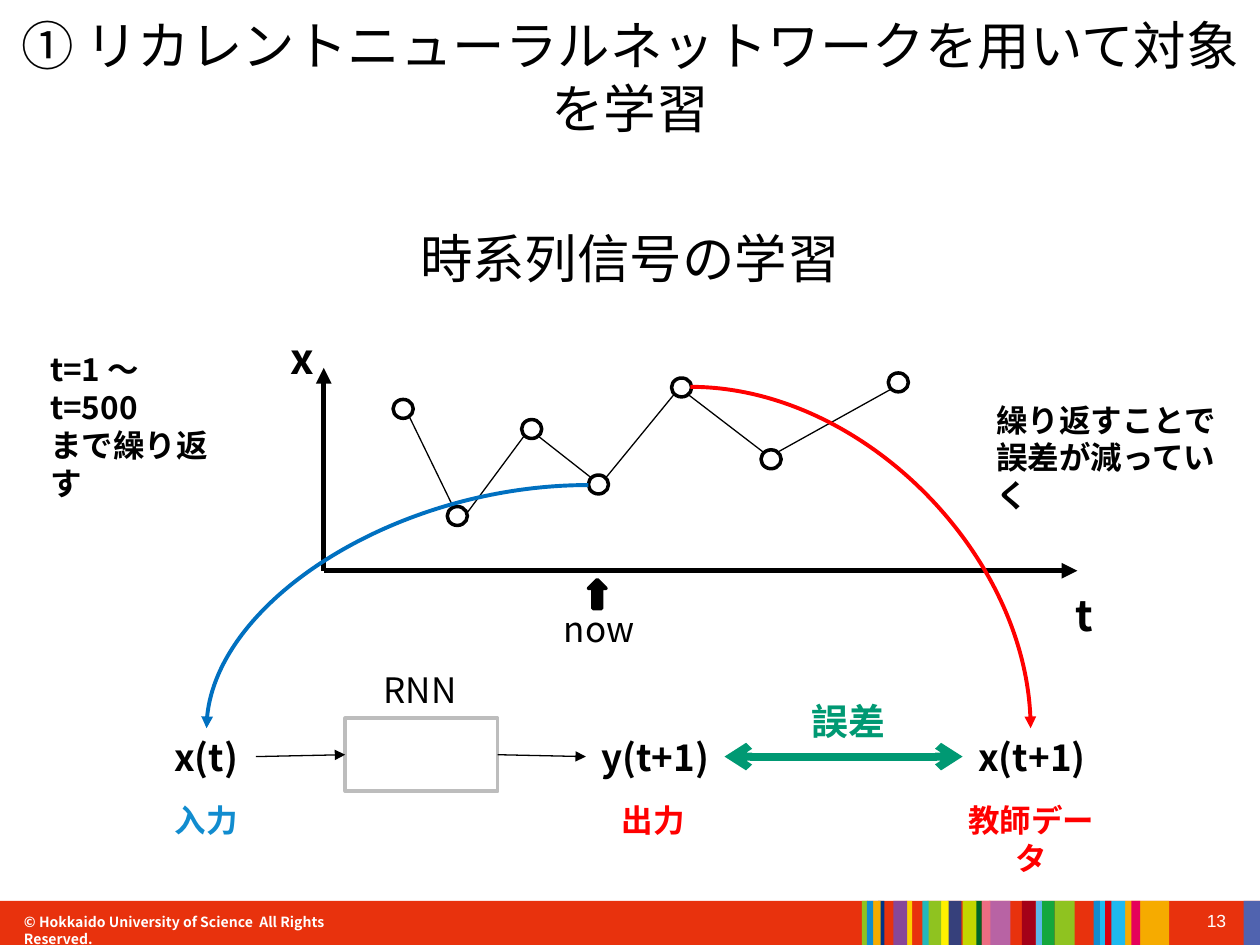
"""Build the slide on learning a time series with a recurrent network."""
import pptx
import pptx.util
import pptx.dml.color
import pptx.enum.shapes
import pptx.enum.text
import pptx.oxml
import pptx.oxml.ns

PX = 9144
HUE = {
    "black": "000000", "white": "FFFFFF", "red": "FF0000", "blue": "0070C0",
    "sky": "118CCF", "green": "009973", "grey": "BDBDBD", "base": "E8320D",
}
NOTO = "Noto Sans CJK JP"
KIND = pptx.enum.shapes.MSO_SHAPE
LINK = pptx.enum.shapes.MSO_CONNECTOR
ALIGN = pptx.enum.text.PP_ALIGN
MIDDLE = pptx.enum.text.MSO_ANCHOR.MIDDLE
RGB = pptx.dml.color.RGBColor.from_string
QN = pptx.oxml.ns.qn

deck = pptx.Presentation()
deck.slide_width, deck.slide_height = 1000 * PX, 750 * PX
slide = deck.slides.add_slide(deck.slide_layouts[5])
shapes = slide.shapes


def write(area, rows, size, hue="black", bold=False, align=ALIGN.CENTER, inset=True):
    if isinstance(area, tuple):
        item = shapes.add_textbox(*[n * PX for n in area])
    else:
        item = area
    frame = item.text_frame
    frame.word_wrap = True
    if not inset:
        frame.margin_left = frame.margin_right = 0
        frame.margin_top = frame.margin_bottom = 0
    for i, row in enumerate(rows):
        para = frame.add_paragraph() if i else frame.paragraphs[0]
        para.alignment = align
        for text, face in row:
            run = para.add_run()
            run.text = text
            run.font.name = face
            run.font.size = pptx.util.Pt(size)
            run.font.bold = bold
            run.font.color.rgb = RGB(HUE[hue])
            east = run.font._element.makeelement(QN("a:ea"), {"typeface": NOTO})
            run.font._element.find(QN("a:latin")).addnext(east)
    return item


def draw(kind, area, fill, edge=None, width=2):
    area = [n * PX for n in area]
    if isinstance(kind, LINK):
        item = shapes.add_connector(kind, *area)
        item._element.spPr.append(item._element.makeelement(QN("a:effectLst"), {}))
    else:
        item = shapes.add_shape(kind, *area)
        item.shadow.inherit = False
        item.fill.solid()
        item.fill.fore_color.rgb = RGB(fill)
    if edge:
        item.line.color.rgb = RGB(edge)
        item.line.width = pptx.util.Pt(width)
    else:
        item.line.fill.background()
    return item


draw(KIND.RECTANGLE, (0, 715, 1000, 35), HUE["base"])
write((933, 717, 50, 52), [[("13", "Arial")]], 10, "white", align=ALIGN.RIGHT)
write((19, 725, 259, 14), [[("© Hokkaido University of Science  All Rights Reserved.", NOTO)]],
      8, "white", True, ALIGN.LEFT, False)
for left, wide, tint in [
    (893, 35, "F6AB00"), (987, 13, "5063AF"), (898, 7, "E5015A"), (870, 23, "1EB9EF"),
    (877, 5, "D7000F"), (837, 16, "8FC320"), (868, 5, "118CCF"), (826, 11, "14A73C"),
    (822, 5, "5DB7E9"), (811, 11, "A40018"), (785, 17, "B863A4"), (779, 7, "EC6D82"),
    (774, 5, "006428"), (764, 11, "C3D600"), (752, 11, "36407B"), (747, 6, "FFF100"),
    (719, 5, "FDD100"), (736, 11, "8FC320"), (732, 5, "23B8BC"), (709, 11, "884799"),
    (697, 5, "003487"), (693, 6, "F6AB00"), (684, 5, "8FC320"), (688, 5, "118CCF"),
]:
    draw(KIND.RECTANGLE, (left, 715, wide, 35), tint)

title = shapes.title
title.left, title.top, title.width, title.height = [n * PX for n in (69, 174, 862, 60)]
title.text_frame.vertical_anchor = MIDDLE
write(title, [[("時系列信号の学習", "Cambria")]], 30, inset=False)
head = write((0, 0, 1000, 120), [[("① ", "Cambria"), ("リカレントニューラルネットワーク", NOTO),
                                  ("を用いて対象を学習", "Cambria")]], 30, inset=False)
head.text_frame.vertical_anchor = MIDDLE

lines = []
for end in [(257, 292), (855, 453)]:
    axis = draw(LINK.STRAIGHT, (257, 453, *end), None, HUE["black"], 3)
    lines.append((axis, ["tail"], "triangle"))
for left, top in [(312, 317), (355, 402), (414, 333), (467, 377),
                  (533, 300), (604, 357), (705, 296)]:
    draw(KIND.FLOWCHART_CONNECTOR, (left, top, 16, 15), HUE["white"], HUE["black"])
for ends in [(325, 331, 360, 403), (370, 408, 416, 346), (427, 346, 469, 379),
             (481, 379, 535, 313), (546, 313, 606, 359), (617, 359, 707, 309)]:
    draw(LINK.STRAIGHT, ends, None, HUE["black"], 0.75)
for ends, hue in [((548, 307, 818, 578), "red"), ((467, 385, 164, 578), "blue")]:
    curve = draw(LINK.CURVE, ends, None, HUE[hue], 2.25)
    curve._element.spPr.find(QN("a:prstGeom")).set("prst", "curvedConnector2")
    lines.append((curve, ["tail"], "triangle"))

draw(KIND.UP_ARROW, (467, 460, 14, 23), HUE["black"], HUE["black"])
box = draw(KIND.RECTANGLE, (274, 570, 121, 58), HUE["white"], HUE["grey"])
label = {}
for text, area, size, hue, bold in [
    ("x", (221, 259, 36, 64), 24, "black", True),
    ("t", (843, 463, 36, 64), 24, "black", True),
    ("x(t)", (124, 578, 79, 45), 21, "black", True),
    ("y(t+1)", (465, 578, 110, 45), 21, "black", True),
    ("x(t+1)", (764, 578, 110, 45), 21, "black", True),
    ("誤差", (634, 550, 79, 45), 21, "green", True),
    ("RNN", (283, 526, 101, 44), 20, "black", False),
    ("now", (437, 477, 77, 44), 20, "black", False),
    ("入力", (124, 631, 79, 40), 18, "sky", True),
    ("出力", (479, 631, 79, 40), 18, "red", True),
    ("教師データ", (749, 631, 139, 40), 18, "red", True),
]:
    label[text] = write(area, [[(text, NOTO)]], size, hue, bold)

for start, stop, hue, width, ends, style in [
    (label["x(t)"], box, "black", 0.75, ["tail"], "triangle"),
    (box, label["y(t+1)"], "black", 0.75, ["tail"], "triangle"),
    (label["y(t+1)"], label["x(t+1)"], "green", 4.5, ["head", "tail"], "arrow"),
]:
    flow = draw(LINK.STRAIGHT, (0, 0, 0, 0), None, HUE[hue], width)
    flow.begin_connect(start, 3)
    flow.end_connect(stop, 1)
    lines.append((flow, ends, style))
for line, ends, style in lines:
    for end in ends:
        tip = line._element.makeelement(QN(f"a:{end}End"), {"type": style})
        line.line._get_or_add_ln().append(tip)

for area, rows in [
    ((30, 273, 165, 71), ["t=1 ～ t=500", "まで繰り返す"]),
    ((781, 313, 213, 71), ["繰り返すことで", "誤差が減っていく"]),
]:
    write(area, [[(row, NOTO)] for row in rows], 18, bold=True, align=ALIGN.LEFT)

deck.save("out.pptx")
